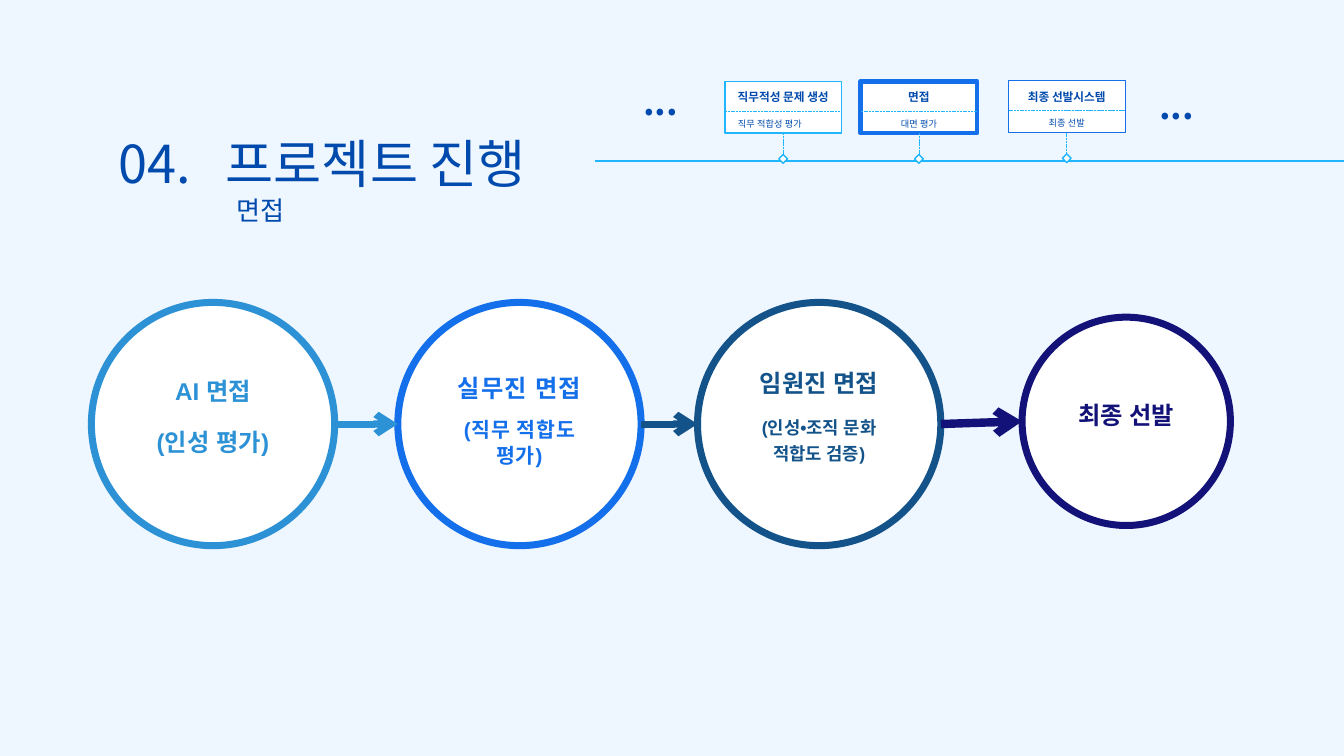
from lxml.etree import SubElement
from pptx import Presentation
from pptx.dml.color import RGBColor
from pptx.enum.dml import MSO_LINE
from pptx.enum.shapes import MSO_CONNECTOR, MSO_SHAPE
from pptx.enum.text import MSO_ANCHOR, PP_ALIGN
from pptx.oxml.ns import qn
from pptx.util import Inches, Pt

BACKGROUND = RGBColor(0xEE, 0xF6, 0xFF)
WHITE = RGBColor(0xFF, 0xFF, 0xFF)
NAVY = RGBColor(0x00, 0x4A, 0xAD)
CYAN = RGBColor(0x1F, 0xB5, 0xFF)
BLUE = RGBColor(0x14, 0x6F, 0xEA)
SKY = RGBColor(0x2C, 0x92, 0xD5)
STEEL = RGBColor(0x13, 0x53, 0x8A)
INDIGO = RGBColor(0x12, 0x12, 0x78)
SANS = "Noto Sans CJK KR"

# Timeline boxes: left, top, heading, caption, caption alignment, border colour, border width
STAGES = [
    (10.79, 1.21, "직무적성 문제 생성", "직무 적합성 평가", PP_ALIGN.JUSTIFY, CYAN, 1.5),
    (12.81, 1.21, "면접", "대면 평가", PP_ALIGN.CENTER, BLUE, 5.25),
    (15.01, 1.2, "최종 선발시스템", "최종 선발", PP_ALIGN.CENTER, BLUE, 0.75),
]
STAGE_WIDTH, STAGE_HEIGHT, DIAMOND = 1.73, 0.77, 0.13
ELLIPSES = [(9, 1.19), (16.68, 1.25)]

# Interview steps; each line of text: text, size, line spacing, space before, letter spacing
STEPS = [
    dict(left=1.36, top=4.5, diameter=3.62, text_drop=0, color=SKY,
         lines=[("AI 면접", 26, 39, 0, 0), ("(인성 평가)", 26, 39, 15, 0)]),
    dict(left=5.92, top=4.5, diameter=3.62, text_drop=0.21, color=BLUE,
         lines=[("실무진 면접", 26, 33.5, 0, 1), ("(직무 적합도", 22, 28.4, 12.9, 0.8),
                ("평가)", 22, 28.4, 0, 0.8)]),
    dict(left=10.38, top=4.5, diameter=3.62, text_drop=0, color=STEEL,
         lines=[("임원진 면접", 26, 39, 0, 0), ("(인성•조직 문화", 19, 28.5, 15, 0),
                ("적합도 검증)", 19, 28.5, 0, 0)]),
    dict(left=15.21, top=4.72, diameter=3.1, text_drop=0, color=INDIGO,
         lines=[("최종 선발", 26, 39, 0, 0)]),
]
# Colour and width of the arrow that follows each step but the last
ARROWS = [(SKY, 7.5), (STEEL, 7.5), (INDIGO, 9)]

presentation = Presentation()
presentation.slide_width, presentation.slide_height = Inches(20), Inches(11.25)
slide = presentation.slides.add_slide(presentation.slide_layouts[6])
slide.background.fill.solid()
slide.background.fill.fore_color.rgb = BACKGROUND


def add_text(lines, left, top, width, height, color=NAVY, font=SANS, bold=False,
             align=PP_ALIGN.CENTER, anchor=MSO_ANCHOR.TOP, inset=0, tab=None):
    frame = slide.shapes.add_textbox(
        Inches(left), Inches(top), Inches(width), Inches(height)).text_frame
    frame.word_wrap = True
    frame.vertical_anchor = anchor
    frame.margin_left = frame.margin_right = Inches(inset)
    frame.margin_top = frame.margin_bottom = Inches(inset)
    for index, (text, size, spacing, before, tracking) in enumerate(lines):
        paragraph = frame.add_paragraph() if index else frame.paragraphs[0]
        paragraph.alignment = align
        paragraph.line_spacing = Pt(spacing)
        if before:
            paragraph.space_before = Pt(before)
        if tab:
            tabs = SubElement(paragraph._p.get_or_add_pPr(), qn("a:tabLst"))
            SubElement(tabs, qn("a:tab"), pos=str(Inches(tab)), algn="l")
        run = paragraph.add_run()
        run.text = text
        run.font.size, run.font.bold, run.font.name = Pt(size), bold, font
        run.font.color.rgb = color
        properties = run._r.get_or_add_rPr()
        SubElement(properties, qn("a:ea"), typeface=font)
        if tracking:
            properties.set("spc", str(round(tracking * 100)))


def add_outlined(kind, left, top, width, height, color, line_width):
    shape = slide.shapes.add_shape(
        kind, Inches(left), Inches(top), Inches(width), Inches(height))
    shape.shadow.inherit = False
    shape.fill.solid()
    shape.fill.fore_color.rgb = WHITE
    shape.line.color.rgb = color
    shape.line.width = Pt(line_width)
    return shape


def add_line(x1, y1, x2, y2, color, line_width, dashed=False, arrow=False):
    line = slide.shapes.add_connector(
        MSO_CONNECTOR.STRAIGHT, Inches(x1), Inches(y1), Inches(x2), Inches(y2))
    line.line.color.rgb = color
    line.line.width = Pt(line_width)
    if dashed:
        line.line.dash_style = MSO_LINE.SQUARE_DOT
    if arrow:
        SubElement(line.line._get_or_add_ln(), qn("a:tailEnd"), type="arrow")
    SubElement(line._element.spPr, qn("a:effectLst"))
    return line


# Title
add_text([("04.\t프로젝트 진행", 56, 78.4, 0, 0)], 1.76, 1.8, 6.63, 1.06,
         align=PP_ALIGN.LEFT, tab=1.6)
add_text([("면접", 28, 39.2, 0, 0)], 3.51, 2.81, 0.72, 0.52)

# Timeline
add_line(8.86, 2.4, 20, 2.4, CYAN, 2.25)
for left, top, heading, caption, caption_align, color, line_width in STAGES:
    center, bottom = left + STAGE_WIDTH / 2, top + STAGE_HEIGHT
    box = add_outlined(MSO_SHAPE.RECTANGLE, left, top, STAGE_WIDTH, STAGE_HEIGHT,
                       color, line_width)
    diamond = add_outlined(MSO_SHAPE.DIAMOND, center - DIAMOND / 2, bottom + 0.32,
                           DIAMOND, DIAMOND, CYAN, 1.5)
    stem = add_line(center, bottom + 0.32, center, bottom, CYAN, 0.75, dashed=True)
    stem.begin_connect(diamond, 0)
    stem.end_connect(box, 2)
    add_line(left, top + 0.44, left + STAGE_WIDTH, top + 0.44, CYAN, 0.75, dashed=True)
    add_text([(heading, 12.5, 15, 0, 0)], left, top + 0.13, STAGE_WIDTH, 0.23, bold=True)
    add_text([(caption, 9.8, 16.7, 0, 0.1)], left + 0.19, top + 0.48, 1.35, 0.21,
             align=caption_align)
for left, top in ELLIPSES:
    add_text([("...", 38.4, 46, 0, 0)], left, top, 1.66, 0.66, bold=True)

# Interview steps
for step in STEPS:
    left, top, diameter = step["left"], step["top"], step["diameter"]
    add_outlined(MSO_SHAPE.OVAL, left, top, diameter, diameter, step["color"], 7.5)
    text_width = diameter * 0.81
    add_text(step["lines"], left + (diameter - text_width) / 2, top + step["text_drop"],
             text_width, diameter * 0.906 - step["text_drop"], color=step["color"],
             font="Arial", bold=True, anchor=MSO_ANCHOR.MIDDLE, inset=0.06)

# Arrows between the steps
for start, end, (color, line_width) in zip(STEPS, STEPS[1:], ARROWS):
    add_line(start["left"] + start["diameter"], start["top"] + start["diameter"] / 2,
             end["left"], end["top"] + end["diameter"] / 2, color, line_width, arrow=True)

presentation.save("out.pptx")
